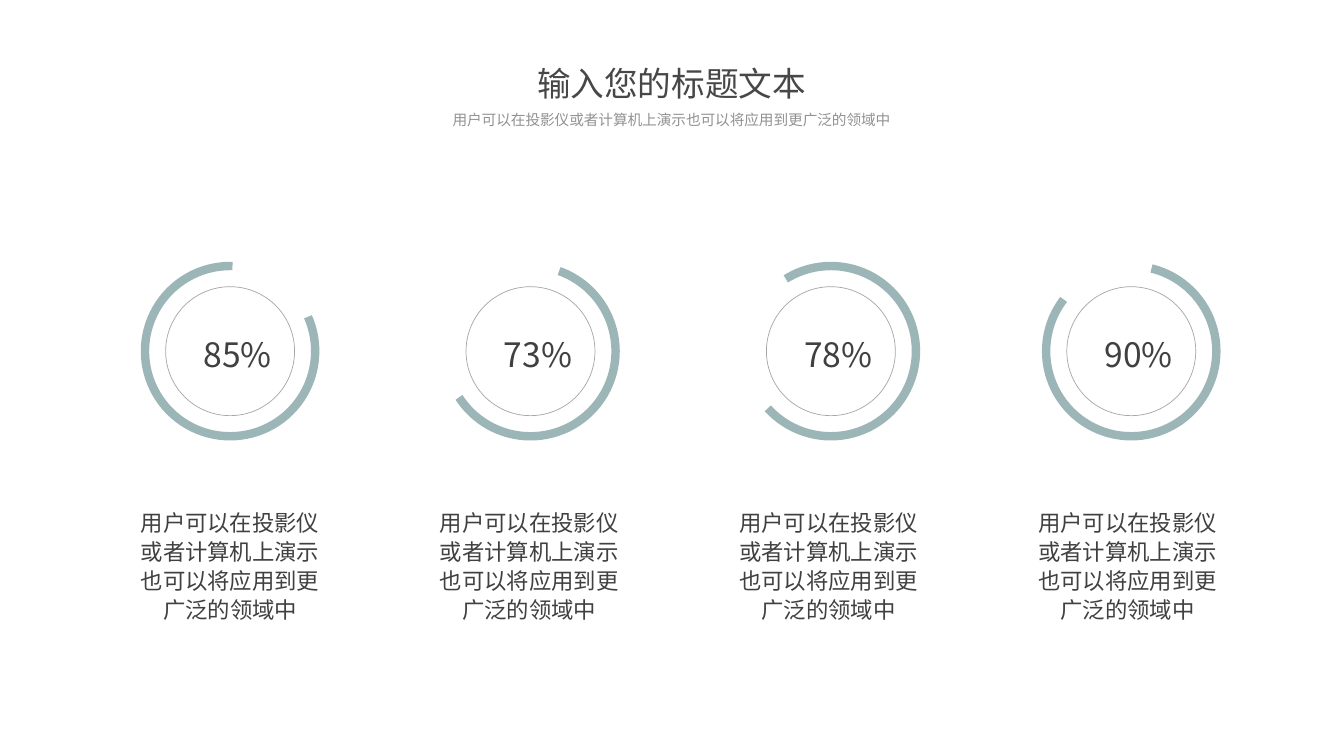
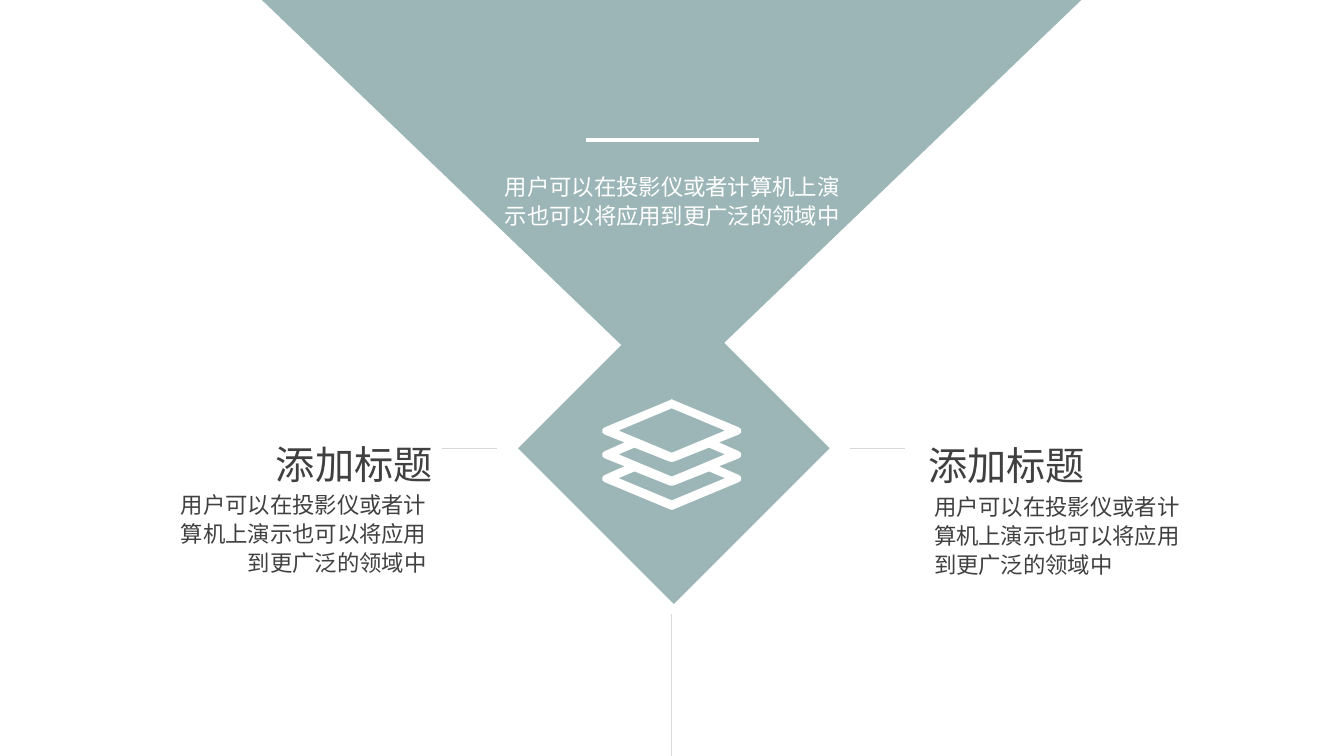
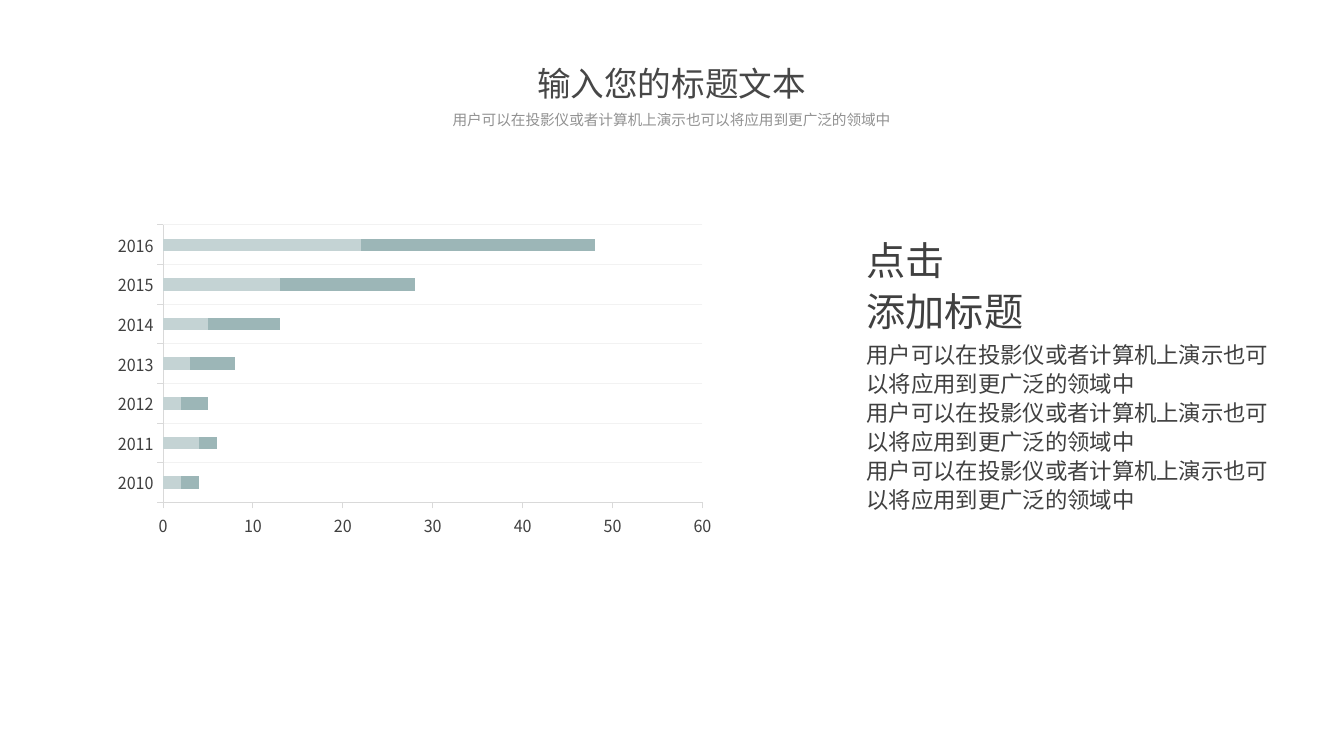
from dataclasses import dataclass

import lxml.etree
import pptx
import pptx.chart.data
import pptx.dml.color
import pptx.enum.chart
import pptx.enum.shapes
import pptx.enum.text
import pptx.oxml.ns
import pptx.util

Cm = pptx.util.Cm
Pt = pptx.util.Pt
Align = pptx.enum.text.PP_ALIGN
ShapeKind = pptx.enum.shapes.MSO_SHAPE


@dataclass(frozen=True)
class Theme:
    font: str = "Noto Sans CJK SC"
    accent: str = "9CB6B7"
    accent_light: str = "C4D3D4"
    white: str = "FFFFFF"
    text: str = "404040"
    title: str = "474747"
    subtitle: str = "929292"
    circle: str = "A6A6A6"
    rule: str = "D9D9D9"
    grid: str = "F2F2F2"
    subtitle_size: float = 10.5
    chart_size: float = 12
    body_size: float = 16
    title_size: float = 24
    heading_size: float = 28
    spacing: float = 1.08


@dataclass(frozen=True)
class Gauge:
    label: str
    start: float
    end: float


@dataclass(frozen=True)
class Rule:
    begin: tuple[float, float]
    end: tuple[float, float]
    color: str
    width: float


@dataclass(frozen=True)
class Note:
    heading_at: tuple[float, float]
    body_at: tuple[float, float]
    align: Align


THEME = Theme()
SLIDE_WIDTH, SLIDE_HEIGHT = 33.87, 19.05
TITLE = "输入您的标题文本"
HEADING = "添加标题"
BODY = "用户可以在投影仪或者计算机上演示也可以将应用到更广泛的领域中"

GAUGES = [
    Gauge("85%", 336.21, 271.62),
    Gauge("73%", 289.66, 147.1),
    Gauge("78%", 238.05, 137.8),
    Gauge("90%", 283.78, 217.41),
]
RULES = [
    Rule((14.76, 3.53), (19.13, 3.53), THEME.white, 3),
    Rule((21.41, 11.3), (22.81, 11.3), THEME.rule, 0.5),
    Rule((11.13, 11.3), (12.52, 11.3), THEME.rule, 0.5),
    Rule((16.92, 15.47), (16.92, SLIDE_HEIGHT), THEME.rule, 0.5),
]
NOTES = [
    Note((4.24, 10.87), (4.09, 12.19), Align.RIGHT),
    Note((23.14, 10.9), (23.29, 12.24), Align.LEFT),
]
YEARS = ["2010", "2011", "2012", "2013", "2014", "2015", "2016"]
SERIES = [
    ("Series 1", [2, 4, 2, 3, 5, 13, 22], THEME.accent_light),
    ("Series 2", [2, 2, 3, 5, 8, 15, 26], THEME.accent),
]


def rgb(color: str) -> pptx.dml.color.RGBColor:
    return pptx.dml.color.RGBColor.from_string(color)


def add_text(slide, text: str, left: float, top: float, width: float, height: float, *,
             size: float = THEME.body_size, color: str = THEME.text,
             align: Align = Align.LEFT, wrap: bool = True,
             spacing: float | None = THEME.spacing,
             insets: tuple[float, float] | None = None) -> None:
    shape = slide.shapes.add_textbox(Cm(left), Cm(top), Cm(width), Cm(height))
    frame = shape.text_frame
    frame.word_wrap = wrap
    frame.auto_size = pptx.enum.text.MSO_AUTO_SIZE.SHAPE_TO_FIT_TEXT
    if insets:
        frame.margin_left = frame.margin_right = Cm(insets[0])
        frame.margin_top = frame.margin_bottom = Cm(insets[1])
    frame.text = text
    for paragraph in frame.paragraphs:
        paragraph.alignment = align
        paragraph.line_spacing = spacing
        for run in paragraph.runs:
            run.font.name = THEME.font
            run.font.size = Pt(size)
            run.font.color.rgb = rgb(color)
            latin = run.font._element.find(pptx.oxml.ns.qn("a:latin"))
            east_asian = lxml.etree.Element(pptx.oxml.ns.qn("a:ea"), typeface=THEME.font)
            latin.addnext(east_asian)


def paint(shape, fill: str | None = None, line: str | None = None,
          line_width: float = 0.5) -> None:
    shape.shadow.inherit = False
    if fill:
        shape.fill.solid()
        shape.fill.fore_color.rgb = rgb(fill)
    else:
        shape.fill.background()
    if line:
        shape.line.color.rgb = rgb(line)
        shape.line.width = Pt(line_width)
    else:
        shape.line.fill.background()


def add_shape(slide, kind: ShapeKind, left: float, top: float, width: float, height: float,
              **style):
    shape = slide.shapes.add_shape(kind, Cm(left), Cm(top), Cm(width), Cm(height))
    paint(shape, **style)
    return shape


def add_rule(slide, rule: Rule) -> None:
    connector = slide.shapes.add_connector(
        pptx.enum.shapes.MSO_CONNECTOR.STRAIGHT,
        *(Cm(value) for value in rule.begin + rule.end))
    connector.line.color.rgb = rgb(rule.color)
    connector.line.width = Pt(rule.width)
    lxml.etree.SubElement(connector._element.spPr, pptx.oxml.ns.qn("a:effectLst"))


def add_title(slide) -> None:
    add_text(slide, TITLE, 13.28, 1.45, 7.29, 1.27, size=THEME.title_size,
             color=THEME.title, align=Align.CENTER, spacing=None)
    add_text(slide, BODY, 7.24, 2.67, 19.38, 0.58, size=THEME.subtitle_size,
             color=THEME.subtitle, align=Align.CENTER, insets=(0.13, 0.08))


def add_gauge(slide, gauge: Gauge, center_x: float, center_y: float) -> None:
    circle, ring = 3.25, 4.29
    add_shape(slide, ShapeKind.OVAL, center_x - circle / 2, center_y - circle / 2,
              circle, circle, line=THEME.circle)
    arc = add_shape(slide, ShapeKind.ARC, center_x - ring / 2, center_y - ring / 2,
                    ring, ring, line=THEME.accent, line_width=6)
    for index, angle in enumerate((gauge.start, gauge.end)):
        arc.adjustments[index] = angle * 0.6
    add_text(slide, gauge.label, center_x - 0.92, 8.2, 2.29, 1.3,
             size=THEME.title_size, wrap=False)


def mirrored(right_side: list[tuple[float, float]]) -> list[tuple[float, float]]:
    return right_side + [(-x, y) for x, y in reversed(right_side) if x]


def add_layers_icon(slide, center_x: float, top: float) -> None:
    pitch, layers = 0.6, 3
    outline = [(0, 0), (0.06, 0.03)]
    holes = [mirrored([(0, 0.23), (1.34, 0.79), (0, 1.35)])]
    for layer in range(layers):
        drop = layer * pitch
        outline += [(1.69, 0.71 + drop), (1.75, 0.76 + drop),
                    (1.75, 0.84 + drop), (1.69, 0.89 + drop)]
        if layer < layers - 1:
            outline.append((1.19, 1.09 + drop))
        if layer:
            holes.append(mirrored([(0, 0.98 + drop), (0.06, 0.97 + drop), (0.94, 0.62 + drop),
                                   (1.34, 0.79 + drop), (0, 1.35 + drop)]))
    outline += [(0.06, 2.77), (0, 2.79)]
    builder = None
    for contour in [mirrored(outline), *holes]:
        points = [(Cm(x), Cm(y)) for x, y in contour]
        if builder is None:
            builder = slide.shapes.build_freeform(*points[0])
        else:
            builder.move_to(*points[0])
        builder.add_line_segments(points[1:], close=True)
    paint(builder.convert_to_shape(Cm(center_x), Cm(top)), fill=THEME.white)


def add_plot_layout(chart, x: float, y: float, width: float, height: float) -> None:
    plot_area = chart._chartSpace.chart.plotArea
    layout = plot_area.find(pptx.oxml.ns.qn("c:layout"))
    if layout is None:
        layout = lxml.etree.Element(pptx.oxml.ns.qn("c:layout"))
        plot_area.insert(0, layout)
    manual = lxml.etree.SubElement(layout, pptx.oxml.ns.qn("c:manualLayout"))
    settings = {"layoutTarget": "inner", "xMode": "edge", "yMode": "edge",
                "x": x, "y": y, "w": width, "h": height}
    for name, value in settings.items():
        lxml.etree.SubElement(manual, pptx.oxml.ns.qn(f"c:{name}"), val=str(value))


def style_font(font) -> None:
    font.name = THEME.font
    font.size = Pt(THEME.chart_size)
    font.color.rgb = rgb(THEME.text)


def add_bar_chart(slide) -> None:
    data = pptx.chart.data.CategoryChartData()
    data.categories = YEARS
    for name, values, _ in SERIES:
        data.add_series(name, values)
    chart = slide.shapes.add_chart(
        pptx.enum.chart.XL_CHART_TYPE.BAR_STACKED,
        Cm(2.97), Cm(5.26), Cm(14.96), Cm(8.28), data).chart
    chart.has_legend = False
    chart.has_title = False
    style_font(chart.font)
    plot = chart.plots[0]
    plot.gap_width = 219
    plot.overlap = 100
    plot.vary_by_categories = False
    for series, (_, _, color) in zip(plot.series, SERIES):
        series.format.fill.solid()
        series.format.fill.fore_color.rgb = rgb(color)
    for axis in (chart.category_axis, chart.value_axis):
        axis.major_tick_mark = pptx.enum.chart.XL_TICK_MARK.OUTSIDE
        axis.minor_tick_mark = pptx.enum.chart.XL_TICK_MARK.NONE
        axis.format.line.color.rgb = rgb(THEME.rule)
        axis.format.line.width = Pt(0.75)
        style_font(axis.tick_labels.font)
    chart.category_axis.has_major_gridlines = True
    gridline = chart.category_axis.major_gridlines.format.line
    gridline.color.rgb = rgb(THEME.grid)
    gridline.width = Pt(0.75)
    chart.value_axis.has_major_gridlines = False
    chart.value_axis.minimum_scale = 0
    chart.value_axis.maximum_scale = 60
    chart.value_axis.major_unit = 10
    add_plot_layout(chart, 0.04, 0.05, 0.95, 0.85)


def build_gauges(slide) -> None:
    for index, gauge in enumerate(GAUGES):
        add_gauge(slide, gauge, 5.8 + index * 7.57, 8.85)
        add_text(slide, BODY, 3.07 + index * 7.54, 12.65, 5.46, 3.18, align=Align.CENTER)
    add_title(slide)


def build_funnel(slide) -> None:
    triangle = add_shape(slide, ShapeKind.ISOSCELES_TRIANGLE, 6.6, 0, 20.65, 9.91,
                         fill=THEME.accent)
    triangle.rotation = 180
    add_shape(slide, ShapeKind.DIAMOND, 13.06, 7.37, 7.85, 7.85, fill=THEME.accent)
    add_text(slide, BODY, 12.27, 4.19, 9.35, 1.7, color=THEME.white, align=Align.CENTER)
    for rule in RULES:
        add_rule(slide, rule)
    for note in NOTES:
        add_text(slide, HEADING, *note.heading_at, 6.91, 1.5,
                 size=THEME.heading_size, align=note.align)
        add_text(slide, BODY, *note.body_at, 6.91, 2.44, align=note.align)
    add_layers_icon(slide, 16.93, 10.06)


def build_chart(slide) -> None:
    add_bar_chart(slide)
    add_text(slide, "\n".join([BODY] * 3), 21.59, 8.41, 10.85, 6.15)
    add_text(slide, f"点击\n{HEADING}", 21.59, 5.74, 4.5, 2.79,
             size=THEME.heading_size, wrap=False)
    add_title(slide)


def main() -> None:
    presentation = pptx.Presentation()
    presentation.slide_width = Cm(SLIDE_WIDTH)
    presentation.slide_height = Cm(SLIDE_HEIGHT)
    for build in (build_gauges, build_funnel, build_chart):
        build(presentation.slides.add_slide(presentation.slide_layouts[6]))
    presentation.save("out.pptx")


if __name__ == "__main__":
    main()
